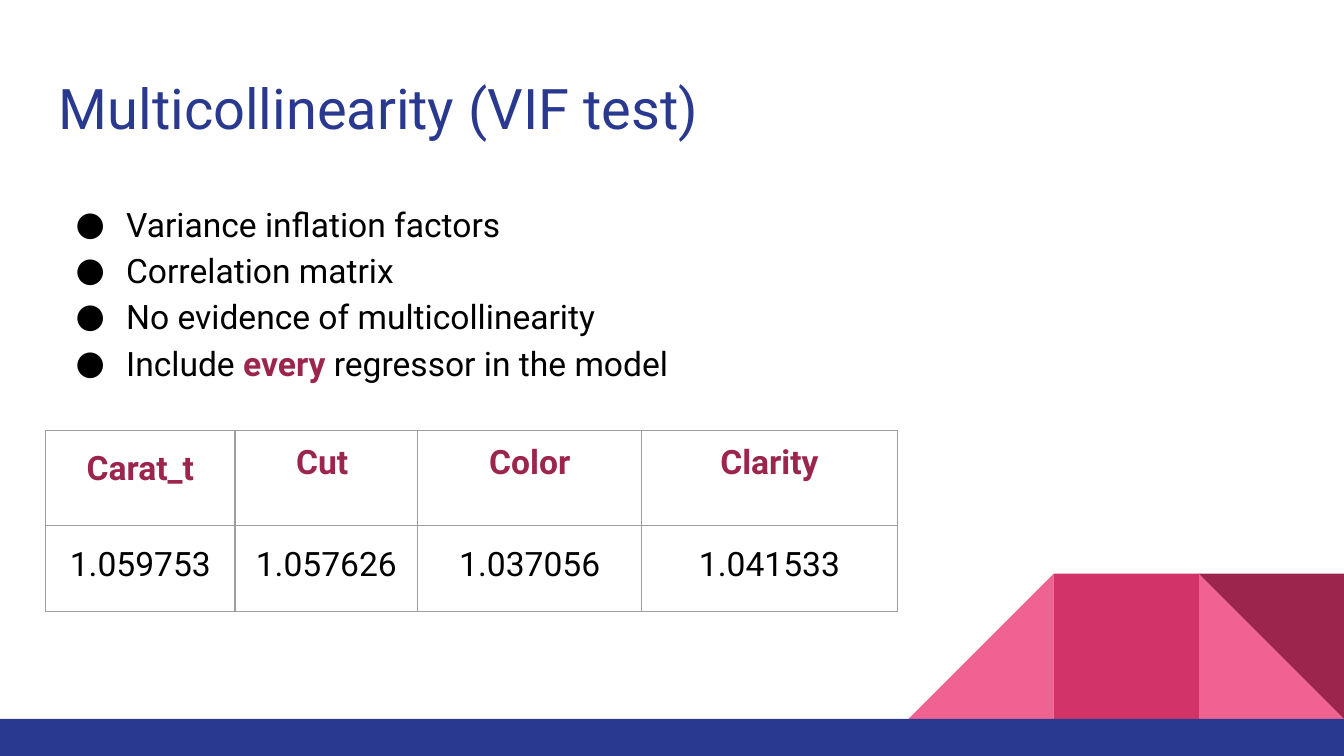
"""Build the multicollinearity slide with its bullet list and VIF table."""
from dataclasses import dataclass
from typing import Any

from lxml.etree import SubElement
from pptx import Presentation
from pptx.dml.color import RGBColor
from pptx.enum.shapes import MSO_SHAPE
from pptx.enum.text import MSO_ANCHOR, PP_ALIGN
from pptx.oxml.ns import qn
from pptx.util import Pt

NAVY = RGBColor(0x2A, 0x39, 0x90)
PINK = RGBColor(0xF0, 0x62, 0x92)
ROSE = RGBColor(0xD2, 0x33, 0x69)
WINE = RGBColor(0x9C, 0x25, 0x4D)
BLACK = RGBColor(0x00, 0x00, 0x00)
GRAY = RGBColor(0x9E, 0x9E, 0x9E)

WIDTH, HEIGHT = 720, 405
LEFT = 24.5
TEXT_WIDTH = WIDTH - 2 * LEFT
INSET = 7.2
TILE = 77.75
FOOTER_TOP = 385.1
LINE_SPACING = 1.15
MARGINS = {f"margin_{side}": Pt(INSET) for side in ("left", "top", "right", "bottom")}
FRAME_FORMAT = {**MARGINS, "word_wrap": True, "vertical_anchor": MSO_ANCHOR.TOP}
CELL_FORMAT = {**MARGINS, "vertical_anchor": MSO_ANCHOR.TOP}


@dataclass(frozen=True)
class Block:
    """A filled preset shape, measured in points."""

    preset: MSO_SHAPE
    left: float
    top: float
    width: float
    height: float
    color: RGBColor
    rotation: float = 0


@dataclass(frozen=True)
class Span:
    """A piece of text with one format."""

    text: str
    color: RGBColor = BLACK
    bold: bool = False
    size: float = 18


@dataclass(frozen=True)
class Column:
    """A regressor with its variance inflation factor."""

    name: str
    factor: str
    width: float
    name_spacing: float = 1.0


def tile(preset: MSO_SHAPE, place: int, color: RGBColor, rotation: float = 0) -> Block:
    """Describe a corner tile, with places counted from the right edge."""
    return Block(preset, WIDTH - place * TILE, FOOTER_TOP - TILE, TILE, TILE, color, rotation)


BLOCKS = [
    tile(MSO_SHAPE.RIGHT_TRIANGLE, 1, PINK),
    tile(MSO_SHAPE.RIGHT_TRIANGLE, 3, PINK, 270),
    tile(MSO_SHAPE.RECTANGLE, 2, ROSE),
    tile(MSO_SHAPE.RIGHT_TRIANGLE, 1, WINE, 180),
    Block(MSO_SHAPE.RECTANGLE, 0, FOOTER_TOP, WIDTH, HEIGHT - FOOTER_TOP, NAVY),
]
TITLE = Span("Multicollinearity (VIF test)", NAVY, size=30)
BULLETS = [
    [Span("Variance inflation factors")],
    [Span("Correlation matrix")],
    [Span("No evidence of multicollinearity")],
    [Span("Include "), Span("every", WINE, True), Span(" regressor in the model")],
]
COLUMNS = [
    Column("Carat_t", "1.059753", 101.4, LINE_SPACING),
    Column("Cut ", "1.057626", 97.9),
    Column("Color", "1.037056", 120.1),
    Column("Clarity", "1.041533", 136.8),
]
ROW_HEIGHTS = [51.1, 46.1]


def apply_format(target: Any, values: dict[str, Any]) -> None:
    """Set every named attribute on the target."""
    for name, value in values.items():
        setattr(target, name, value)


def write_spans(paragraph: Any, spans: list[Span]) -> None:
    """Add formatted runs to a paragraph."""
    for span in spans:
        run = paragraph.add_run()
        run.text = span.text
        apply_format(run.font, {"name": "Roboto", "size": Pt(span.size), "bold": span.bold})
        run.font.color.rgb = span.color


def draw_block(slide: Any, block: Block) -> None:
    """Draw a plain shape without outline."""
    shape = slide.shapes.add_shape(
        block.preset, Pt(block.left), Pt(block.top), Pt(block.width), Pt(block.height)
    )
    shape.rotation = block.rotation
    shape.shadow.inherit = False
    shape.fill.solid()
    shape.fill.fore_color.rgb = block.color
    shape.line.fill.background()


def add_text_frame(slide: Any, top: float, height: float) -> Any:
    """Add a text box across the slide and return its text frame."""
    box = slide.shapes.add_textbox(Pt(LEFT), Pt(top), Pt(TEXT_WIDTH), Pt(height))
    apply_format(box.text_frame, FRAME_FORMAT)
    return box.text_frame


def add_bullet(paragraph: Any) -> None:
    """Give a paragraph a hanging round bullet."""
    properties = paragraph._p.get_or_add_pPr()
    properties.set("marL", str(Pt(36)))
    properties.set("indent", str(Pt(-27)))
    color = SubElement(properties, qn("a:buClr"))
    SubElement(color, qn("a:srgbClr"), val=str(BLACK))
    SubElement(properties, qn("a:buFont"), typeface="Roboto")
    SubElement(properties, qn("a:buChar"), char="●")


def draw_bullets(slide: Any) -> None:
    """Draw the bullet list."""
    frame = add_text_frame(slide, 98.6, 120.2)
    for index, spans in enumerate(BULLETS):
        paragraph = frame.add_paragraph() if index else frame.paragraphs[0]
        paragraph.line_spacing = LINE_SPACING
        add_bullet(paragraph)
        write_spans(paragraph, spans)


def fill_cell(cell: Any, span: Span, spacing: float) -> None:
    """Write a centred table cell with thin borders and no fill."""
    apply_format(cell, CELL_FORMAT)
    properties = cell._tc.get_or_add_tcPr()
    for edge in ("lnL", "lnR", "lnT", "lnB"):
        line = SubElement(properties, qn(f"a:{edge}"), w=str(Pt(0.75)))
        SubElement(SubElement(line, qn("a:solidFill")), qn("a:srgbClr"), val=str(GRAY))
    cell.fill.background()
    paragraph = cell.text_frame.paragraphs[0]
    apply_format(paragraph, {"alignment": PP_ALIGN.CENTER, "line_spacing": spacing})
    write_spans(paragraph, [span])


def draw_table(slide: Any) -> None:
    """Draw the table of variance inflation factors."""
    width = sum(column.width for column in COLUMNS)
    table = slide.shapes.add_table(
        len(ROW_HEIGHTS), len(COLUMNS), Pt(LEFT), Pt(230.6), Pt(width), Pt(sum(ROW_HEIGHTS))
    ).table
    apply_format(table, {"first_row": False, "horz_banding": False})
    for row, height in zip(table.rows, ROW_HEIGHTS):
        row.height = Pt(height)
    for index, column in enumerate(COLUMNS):
        table.columns[index].width = Pt(column.width)
        fill_cell(table.cell(0, index), Span(column.name, WINE, True), column.name_spacing)
        fill_cell(table.cell(1, index), Span(column.factor), LINE_SPACING)


def main() -> None:
    """Build and save the presentation."""
    presentation = Presentation()
    apply_format(presentation, {"slide_width": Pt(WIDTH), "slide_height": Pt(HEIGHT)})
    slide = presentation.slides.add_slide(presentation.slide_layouts[6])
    for block in BLOCKS:
        draw_block(slide, block)
    write_spans(add_text_frame(slide, 32.4, 47.5).paragraphs[0], [TITLE])
    draw_bullets(slide)
    draw_table(slide)
    presentation.save("out.pptx")


if __name__ == "__main__":
    main()
